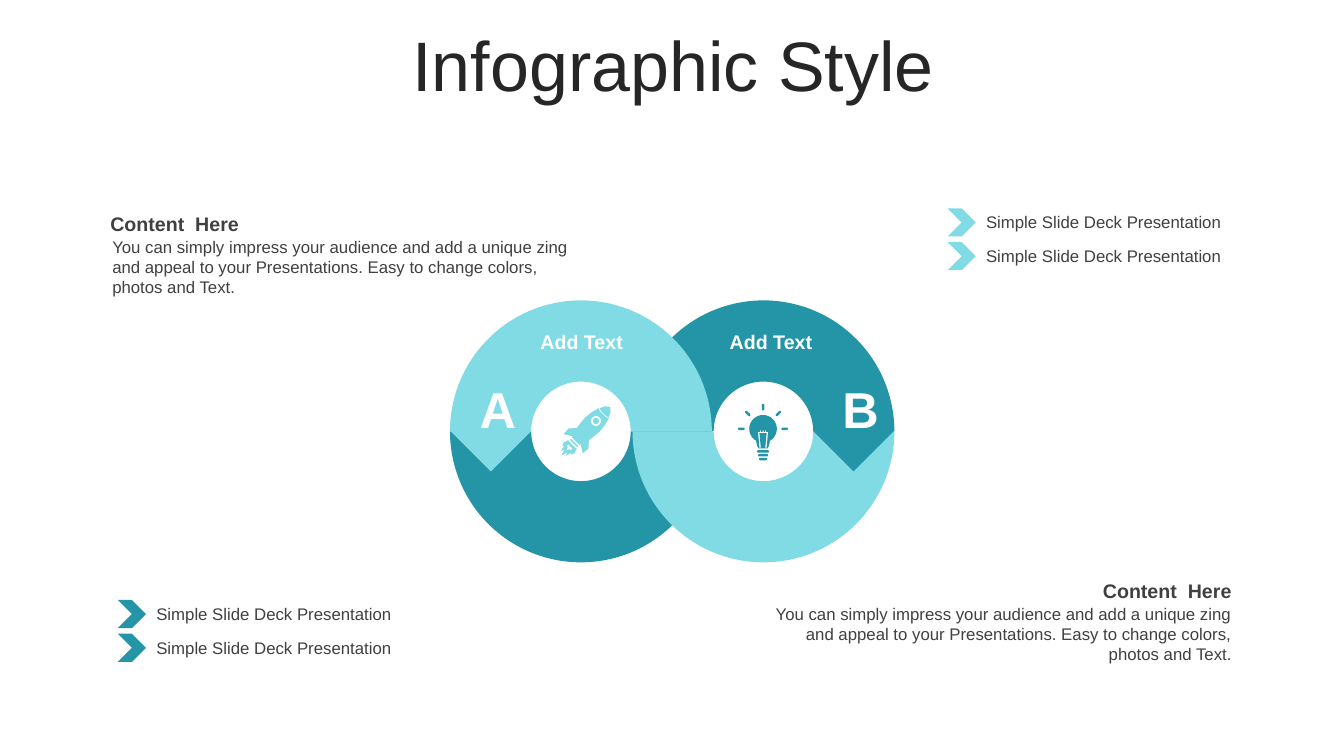
"""Build the two-ring infographic slide, with icons drawn from mirrored halves and rods."""
from math import atan2, cos, pi, radians, sin

from pptx import Presentation
from pptx.dml.color import RGBColor
from pptx.enum.shapes import MSO_SHAPE
from pptx.enum.text import MSO_ANCHOR, MSO_AUTO_SIZE, PP_ALIGN
from pptx.util import Cm, Pt

ARC = MSO_SHAPE.BLOCK_ARC
CHEVRON = MSO_SHAPE.CHEVRON
WEDGE = MSO_SHAPE.ISOSCELES_TRIANGLE
TOP, MIDDLE = MSO_ANCHOR.TOP, MSO_ANCHOR.MIDDLE
LEFT, CENTER, RIGHT = PP_ALIGN.LEFT, PP_ALIGN.CENTER, PP_ALIGN.RIGHT
GROW, FIXED = MSO_AUTO_SIZE.SHAPE_TO_FIT_TEXT, MSO_AUTO_SIZE.NONE
DARK, LIGHT, WHITE, GREY, INK = "2395A6", "80DBE4", "FFFFFF", "404040", "262626"


def paint(fill, color):
    fill.solid()
    fill.fore_color.rgb = RGBColor.from_string(color)


def write(box, text, size, color, bold=False, align=LEFT, anchor=TOP, fit=GROW):
    frame = box.text_frame
    frame.word_wrap = True
    frame.auto_size = fit
    frame.vertical_anchor = anchor
    para = frame.paragraphs[0]
    para.alignment = align
    run = para.add_run()
    run.text = text
    run.font.name = "Arial"
    run.font.size = Pt(size)
    run.font.bold = bold
    paint(run.font.fill, color)


deck = Presentation()
deck.slide_width, deck.slide_height = Cm(33.87), Cm(19.05)
slide = deck.slides.add_slide(deck.slide_layouts[5])
shapes = slide.shapes
forms = []

title = shapes.title
title.left, title.top = Cm(0.89), Cm(0.79)
title.width, title.height = Cm(32.16), Cm(2.01)
write(title, "Infographic Style", 50, INK, align=CENTER, anchor=MIDDLE, fit=FIXED)
title.text_frame.paragraphs[0].line_spacing = 0.8

ring, tip = 6.6, 2.06
ring_a, ring_b, ring_top = 11.34, 15.94, 7.57
for left, turn, color in [(ring_b, 0, DARK), (ring_a, 180, DARK),
                          (ring_b, 180, LIGHT), (ring_a, 0, LIGHT)]:
    arc = shapes.add_shape(ARC, Cm(left), Cm(ring_top), Cm(ring), Cm(ring))
    arc.rotation = turn
    arc.adjustments[2] = 0.31
    paint(arc.fill, color)
    forms.append(arc)

tip_top = ring_top + ring / 2 - 0.02
for left, color in [(ring_a, LIGHT), (ring_b + ring - tip, DARK)]:
    wedge = shapes.add_shape(WEDGE, Cm(left), Cm(tip_top), Cm(tip), Cm(tip / 2))
    wedge.rotation = 180
    paint(wedge.fill, color)
    forms.append(wedge)

for letter, left, label in [("A", 11.84, 12.27), ("B", 20.98, 17.04)]:
    box = shapes.add_textbox(Cm(left), Cm(9.39), Cm(1.04), Cm(1.8))
    write(box, letter, 36, WHITE, True, CENTER, MIDDLE)
    box = shapes.add_textbox(Cm(label), Cm(8.2), Cm(4.78), Cm(0.86))
    write(box, "Add Text", 14, WHITE, True, CENTER)

for left, top, color in [(2.97, 15.12, DARK), (23.88, 5.25, LIGHT)]:
    for row in range(2):
        y = top + 0.85 * row
        mark = shapes.add_shape(CHEVRON, Cm(left), Cm(y), Cm(0.71), Cm(0.71))
        paint(mark.fill, color)
        forms.append(mark)
        box = shapes.add_textbox(Cm(left + 0.72), Cm(y - 0.03), Cm(6.73), Cm(0.77))
        write(box, "Simple Slide Deck Presentation", 12, GREY)

story = ("You can simply impress your audience and add a unique zing and appeal "
         "to your Presentations. Easy to change colors, photos and Text.")
for left, top, align in [(2.53, 5.21, LEFT), (19.09, 14.46, RIGHT)]:
    box = shapes.add_textbox(Cm(left), Cm(top), Cm(12.2), Cm(0.86))
    write(box, "Content  Here", 14, GREY, True, align, MIDDLE)
    box = shapes.add_textbox(Cm(left + 0.05), Cm(top + 0.62), Cm(12.15), Cm(1.8))
    write(box, story, 12, GREY, align=align)

# Half outlines hold (out, up) steps from an icon's axis; rods hold two ends and a radius.
nose = [(0, 34.5), (4, 31), (6.5, 26), (3.5, 25), (0, 25)]
hull = [(0, 24), (4, 24), (7, 25.5), (9, 18.5), (10, 10), (9.5, 2.5), (8.5, -4)]
fin = [(14, -10), (13.5, -17.5), (5.5, -12.5), (5.5, -14), (0, -14)]
band = [(0, -15.5), (5, -15.5), (5, -17), (0, -17)]
flame = [(0, -19), (6, -18.5), (7.5, -23), (6, -27), (5, -24.5),
         (3.5, -31), (2, -27.5), (0, -34)]
spark = [(0, -21.5), (3, -21), (3, -24), (1.5, -23.5), (0, -27)]
window = [(0, 14.5, 0, 14.5, radius) for radius in (5, 3)]

head, heart = 13.7, 2.5
glass = [(head * sin(radians(turn)), heart + head * cos(radians(turn)))
         for turn in range(0, 151, 10)]
neck = [(6, -14), (4.5, -17), (0, -17)]
wire = [(0, 1), (0.5, 1), (0.5, -0.5), (2, -0.5), (2, 1), (3, 1), (3, -0.5),
        (5, -0.5), (3.5, -16.5), (2.2, -16.5), (3.6, -1.8), (0, -1.8)]
rays = []
for turn in range(-90, 91, 45):
    out, up = sin(radians(turn)), cos(radians(turn))
    rays.append((19.5 * out, heart + 19.5 * up, 23.5 * out, heart + 23.5 * up, 1.25))
screw = []
for row in range(3):
    half, up = 4.7 - row, -20 - 3.75 * row
    screw.append((-half, up, half, up, 1.25))

unit = 0.0254
for mid, tilt, color, halves, rods in [
    (14.76, 45, LIGHT, [nose, hull + fin, band, flame, spark], window),
    (19.23, 0, DARK, [glass + neck, wire], rays + screw),
]:
    parts = [half + [(-out, up) for out, up in reversed(half)] for half in halves]
    for x, y, u, v, radius in rods:
        aim = atan2(v - y, u - x) + pi / 2
        turns = [aim + pi * step / 12 for step in range(13)]
        parts.append(
            [(x + radius * cos(turn), y + radius * sin(turn)) for turn in turns]
            + [(u - radius * cos(turn), v - radius * sin(turn)) for turn in turns])
    lean, rise = sin(radians(tilt)), cos(radians(tilt))
    pen = None
    for part in parts:
        points = [(Cm(mid + unit * (out * rise + up * lean)),
                   Cm(10.87 + unit * (out * lean - up * rise))) for out, up in part]
        if pen is None:
            pen = shapes.build_freeform(*points[0])
        else:
            pen.move_to(*points[0])
        pen.add_line_segments(points[1:], close=True)
    icon = pen.convert_to_shape()
    paint(icon.fill, color)
    forms.append(icon)

for form in forms:
    form.line.fill.background()
    form.shadow.inherit = False

deck.save("out.pptx")
